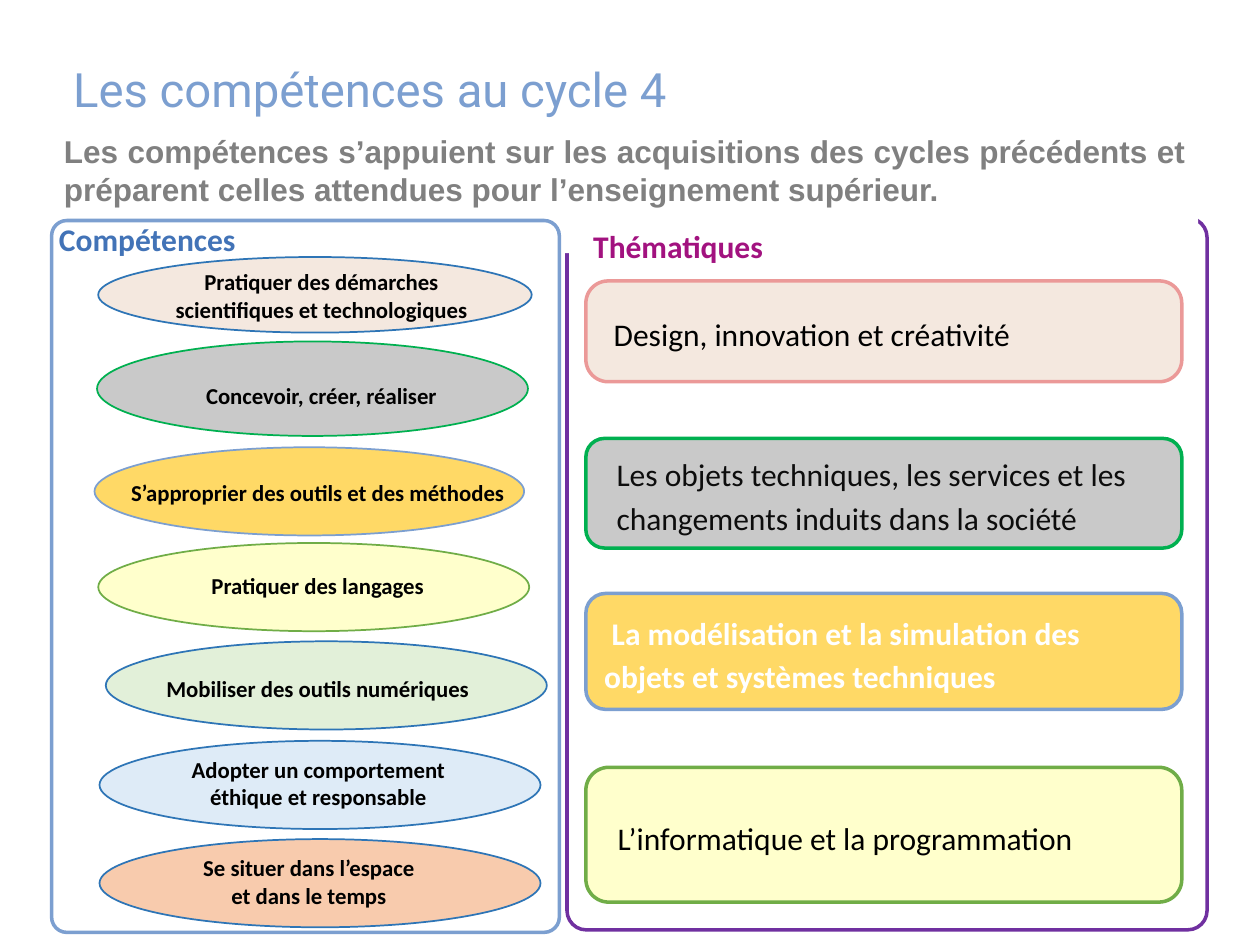
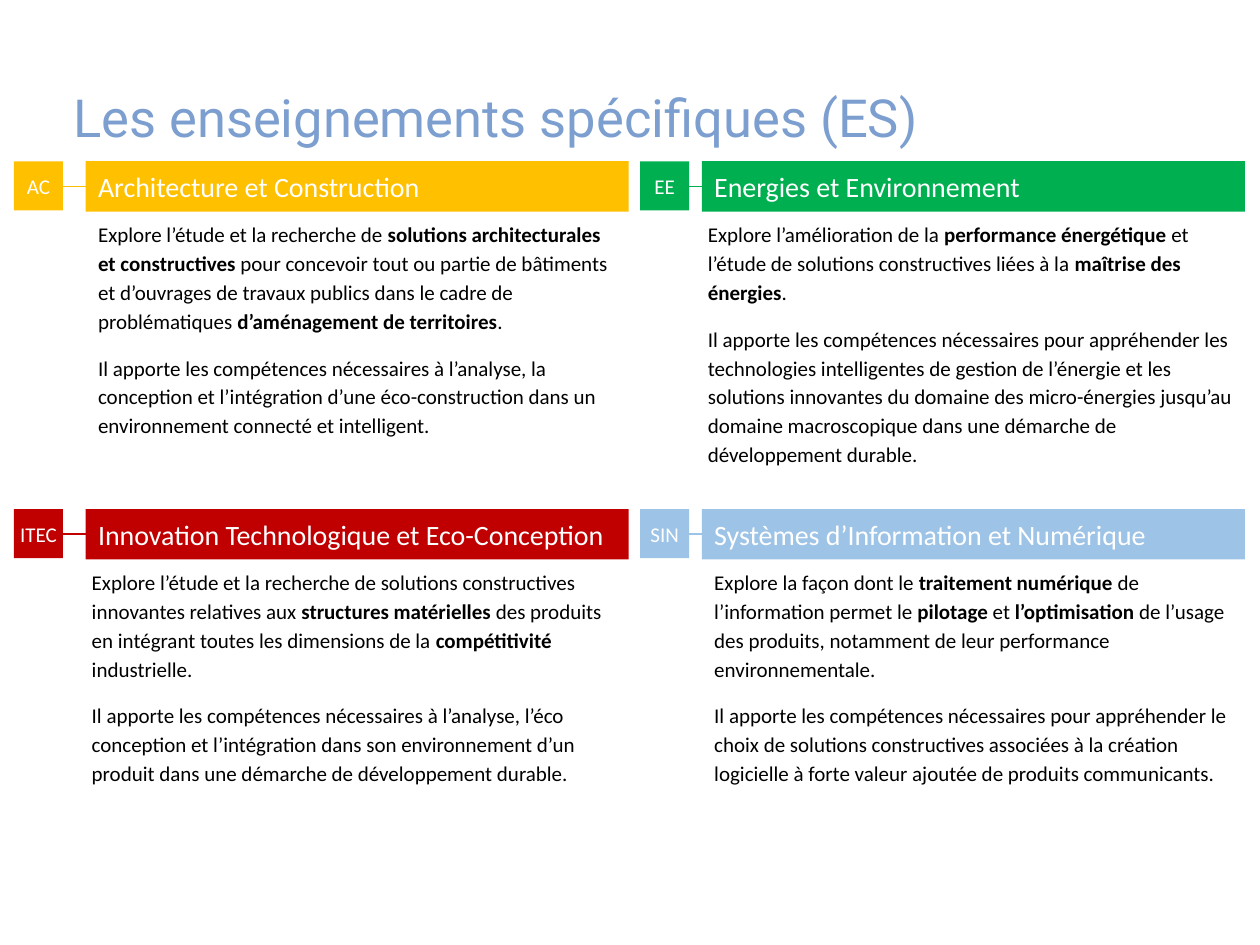
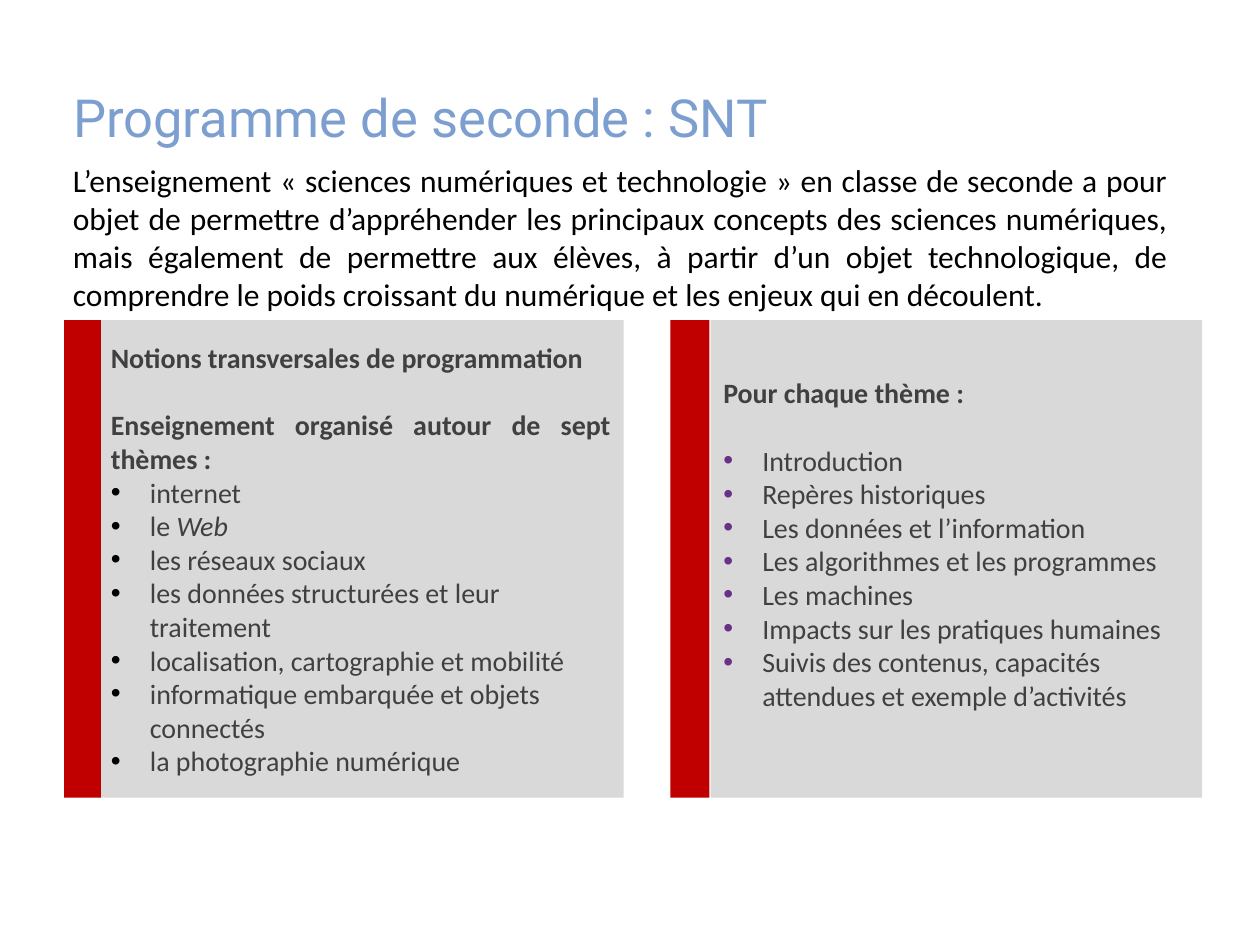
import pptx
import pptx.util
import pptx.dml.color
import pptx.enum.shapes
import pptx.enum.text
import pptx.oxml
import pptx.oxml.ns
import lxml.etree

Inches, Pt = pptx.util.Inches, pptx.util.Pt
RGB = pptx.dml.color.RGBColor
SHAPE = pptx.enum.shapes.MSO_SHAPE
ALIGN = pptx.enum.text.PP_ALIGN
ANCHOR = pptx.enum.text.MSO_ANCHOR
qn = pptx.oxml.ns.qn

# Colours
WHITE, BLACK = RGB(255, 255, 255), RGB(0, 0, 0)
INK, DARK = RGB(0x0D, 0x0D, 0x0D), RGB(0x40, 0x40, 0x40)
GREY, SILVER, PALE = RGB(0x80, 0x80, 0x80), RGB(0xC9, 0xC9, 0xC9), RGB(0xD9, 0xD9, 0xD9)
TITLE_BLUE, BLUE, HEAD_BLUE = RGB(0x7C, 0x9F, 0xD0), RGB(0x2E, 0x75, 0xB6), RGB(0x42, 0x73, 0xB7)
SKY, ICE = RGB(0x9D, 0xC3, 0xE6), RGB(0xDE, 0xEB, 0xF7)
GREEN, LEAF, MINT = RGB(0, 0xB0, 0x50), RGB(0x70, 0xAD, 0x47), RGB(0xE2, 0xF0, 0xD9)
SAND, PINK, PEACH = RGB(0xF4, 0xE8, 0xDF), RGB(0xEB, 0x99, 0x98), RGB(0xF8, 0xCB, 0xAD)
GOLD, AMBER, CREAM = RGB(0xFF, 0xD9, 0x66), RGB(0xFF, 0xC0, 0), RGB(0xFF, 0xFF, 0xCC)
RED, PURPLE = RGB(0xC0, 0, 0), RGB(0x70, 0x30, 0xA0)
MAGENTA, VIOLET = RGB(0xA2, 0x12, 0x7F), RGB(0x68, 0x30, 0x86)

# Slide 1: label, its (left, top, width), ellipse box, fill, line
COMPETENCES_LEAD = ("Les compétences s’appuient sur les acquisitions des cycles précédents "
                    "et préparent celles attendues pour l’enseignement supérieur.")
COMPETENCES = [
    (["Pratiquer des démarches", "scientifiques et technologiques"],
     (0.5, 2.08, 4.1), (0.78, 2.04, 3.44, 0.6), SAND, BLUE),
    (["Concevoir, créer, réaliser"],
     (0.5, 2.98, 4.1), (0.77, 2.71, 3.42, 0.75), SILVER, GREEN),
    (["S’approprier des outils et des méthodes"],
     (0.47, 3.75, 4.1), (0.75, 3.55, 3.41, 0.7), GOLD, TITLE_BLUE),
    (["Pratiquer des langages"],
     (0.47, 4.49, 4.1), (0.78, 4.31, 3.42, 0.7), CREAM, LEAF),
    (["Mobiliser des outils numériques"],
     (0.47, 5.31, 4.1), (0.84, 5.09, 3.5, 0.7), MINT, BLUE),
    (["Adopter un comportement éthique et responsable"],
     (1.22, 5.95, 2.61), (0.79, 5.88, 3.5, 0.7), ICE, BLUE),
    (["Se situer dans l’espace", "et dans le temps"],
     (0.4, 6.73, 4.1), (0.79, 6.66, 3.5, 0.7), PEACH, BLUE),
]
# text, top, height, corner, fill, line, text colour, bold, left margin, first line
THEMES = [
    ("Design, innovation et créativité",
     2.23, 0.8, 0.22, SAND, PINK, BLACK, False, 0.17, 0),
    ("Les objets techniques, les services et les changements induits dans la société",
     3.48, 0.87, 0.17, SILVER, GREEN, INK, False, 0.2, 0),
    ("La modélisation et la simulation des objets et systèmes techniques",
     4.71, 0.92, 0.17, GOLD, TITLE_BLUE, WHITE, True, 0.1, 0.06),
    ("L’informatique et la programmation",
     6.09, 1.07, 0.17, CREAM, LEAF, BLACK, False, 0.2, 0),
]

# Slide 2: row by row; tag, name, colour, shift of the text, paragraphs (** marks bold)
SPECIALITIES = [
    ("AC", "Architecture et Construction", AMBER, 0, [
        "Explore l’étude et la recherche de **solutions architecturales et constructives **"
        "pour concevoir tout ou partie de bâtiments et d’ouvrages de travaux publics dans le "
        "cadre de problématiques **d’aménagement de territoires**.",
        "Il apporte les compétences nécessaires à l’analyse, la conception et l’intégration "
        "d’une éco-construction dans un environnement connecté et intelligent."]),
    ("EE", "Energies et Environnement", GREEN, -0.05, [
        "Explore l’amélioration de la **performance énergétique **et l’étude de solutions "
        "constructives liées à la **maîtrise des énergies**.",
        "Il apporte les compétences nécessaires pour appréhender les technologies "
        "intelligentes de gestion de l’énergie et les solutions innovantes du domaine des "
        "micro-énergies jusqu’au domaine macroscopique dans une démarche de développement "
        "durable."]),
    ("ITEC", "Innovation Technologique et Eco-Conception", RED, -0.05, [
        "Explore l’étude et la recherche de solutions constructives innovantes relatives aux "
        "**structures matérielles **des produits en intégrant toutes les dimensions de la "
        "**compétitivité** industrielle.",
        "Il apporte les compétences nécessaires à l’analyse, l’éco conception et "
        "l’intégration dans son environnement d’un produit dans une démarche de "
        "développement durable."]),
    ("SIN", "Systèmes d’Information et Numérique", SKY, 0, [
        "Explore la façon dont le **traitement numérique **de l’information permet le "
        "**pilotage** et **l’optimisation** de l’usage des produits, notamment de leur "
        "performance environnementale.",
        "Il apporte les compétences nécessaires pour appréhender le choix de solutions "
        "constructives associées à la création logicielle à forte valeur ajoutée de produits "
        "communicants."]),
]
TAG_X, BAR_X, ROW_Y = (0.11, 5.08), (0.68, 5.57), (1.28, 4.04)
TAG_SIZE, BAR_W, BAR_H = 0.39, 4.31, 0.4

# Slide 3: panel and bar places, bottom inset, bullet colour, headings, items (** marks italic)
SNT_LEAD = ("L’enseignement « sciences numériques et technologie » en classe de seconde a pour "
            "objet de permettre d’appréhender les principaux concepts des sciences numériques, "
            "mais également de permettre aux élèves, à partir d’un objet technologique, de "
            "comprendre le poids croissant du numérique et les enjeux qui en découlent.")
PANELS = [
    ((0.78, 4.17), (0.51, 0.29), 0.05, BLACK,
     ["Notions transversales de programmation",
      "Enseignement organisé autour de sept thèmes :"],
     ["internet", "le **Web**", "les réseaux sociaux",
      "les données structurées et leur traitement",
      "localisation, cartographie et mobilité",
      "informatique embarquée et objets connectés", "la photographie numérique"]),
    ((5.64, 3.9), (5.32, 0.31), 0.29, VIOLET,
     ["Pour chaque thème :"],
     ["Introduction", "Repères historiques", "Les données et l’information",
      "Les algorithmes et les programmes", "Les machines",
      "Impacts sur les pratiques humaines",
      "Suivis des contenus, capacités attendues et exemple d’activités"]),
]
PANEL_Y, PANEL_H = 2.54, 3.79


def apply(obj, values):
    for name, value in values.items():
        setattr(obj, name, value)


def place(sp, box):
    apply(sp, dict(zip(("left", "top", "width", "height"), map(Inches, box))))


def add_runs(p, text, size, color, font="Calibri", bold=False, mark="bold"):
    """Fill a paragraph; stretches between ** get the marked attribute."""
    for i, part in enumerate(text.split("**")):
        if part:
            r = p.add_run()
            r.text = part
            apply(r.font, {"size": Pt(size), "name": font, "bold": bold})
            if i % 2:
                setattr(r.font, mark, True)
            r.font.color.rgb = color


def indent(p, margin, first=0, bullet=None):
    pPr = p._p.get_or_add_pPr()
    pPr.set("marL", str(Inches(margin)))
    pPr.set("indent", str(Inches(first)))
    if bullet is None:
        lxml.etree.SubElement(pPr, qn("a:buNone"))
        return
    clr = lxml.etree.SubElement(pPr, qn("a:buClr"))
    lxml.etree.SubElement(clr, qn("a:srgbClr")).set("val", str(bullet))
    lxml.etree.SubElement(pPr, qn("a:buFont")).set("typeface", "Arial")
    lxml.etree.SubElement(pPr, qn("a:buChar")).set("char", "•")


def write(sp, paras, size, color, para=None, anchor=ANCHOR.TOP, inset=(0.1, 0.05, 0.1, 0.05),
          **font):
    """Write paragraphs into a shape and return them."""
    tf = sp.text_frame
    apply(tf, {"word_wrap": True, "auto_size": pptx.enum.text.MSO_AUTO_SIZE.NONE,
               "vertical_anchor": anchor})
    sides = ("margin_left", "margin_top", "margin_right", "margin_bottom")
    apply(tf, dict(zip(sides, map(Inches, inset))))
    for i, text in enumerate(paras):
        p = tf.paragraphs[0] if i == 0 else tf.add_paragraph()
        apply(p, {"alignment": ALIGN.LEFT, **(para or {})})
        add_runs(p, text, size, color, **font)
    return tf.paragraphs


def add_box(s, kind, box, fill, line=None, width=1, corner=None):
    sp = s.shapes.add_shape(kind, *map(Inches, box))
    sp.shadow.inherit = False
    sp.fill.solid()
    sp.fill.fore_color.rgb = fill
    if line is None:
        sp.line.fill.background()
    else:
        sp.line.color.rgb = line
        sp.line.width = Pt(width)
    if corner is not None:
        sp.adjustments[0] = corner
    return sp


def add_label(s, box, paras, size, color, **fmt):
    sp = s.shapes.add_textbox(*map(Inches, box))
    write(sp, paras, size, color, **fmt)


def add_link(s, x1, x2, y, color):
    c = s.shapes.add_connector(pptx.enum.shapes.MSO_CONNECTOR.STRAIGHT,
                               Inches(x1), Inches(y), Inches(x2), Inches(y))
    c.line.color.rgb = color
    c.line.width = Pt(1)
    lxml.etree.SubElement(c._element.spPr, qn("a:effectLst"))


def new_slide(prs, layout, title, size=30, anchor=ANCHOR.MIDDLE):
    s = prs.slides.add_slide(prs.slide_layouts.get_by_name(layout))
    place(s.shapes.title, (0.48, 0.48, 9.03, 0.96))
    write(s.shapes.title, [title], size, TITLE_BLUE, {"line_spacing": 0.9},
          anchor, font="Roboto")
    return s


def competences_slide(prs):
    s = new_slide(prs, "Title Only", "Les compétences au cycle 4", 27, ANCHOR.TOP)
    # Panels; the lead text covers the top edge of the right one
    add_box(s, SHAPE.ROUNDED_RECTANGLE, (4.5, 1.73, 5.08, 5.65), WHITE, PURPLE, 2, 0.03)
    lead = add_box(s, SHAPE.RECTANGLE, (0.41, 1, 9.1, 1.01), WHITE)
    write(lead, [COMPETENCES_LEAD], 18, GREY, {"alignment": ALIGN.JUSTIFY},
          font="Arial", bold=True)
    add_box(s, SHAPE.ROUNDED_RECTANGLE, (0.41, 1.75, 4.03, 5.65), WHITE, TITLE_BLUE, 2, 0.03)
    # The title stays above the lead's white ground
    s.shapes._spTree.append(s.shapes.title._element)
    # Competences
    for paras, (x, y, w), oval, fill, line in COMPETENCES:
        add_box(s, SHAPE.OVAL, oval, fill, line)
        add_label(s, (x, y, w, 0.54), paras, 13, BLACK,
                  para={"alignment": ALIGN.CENTER}, bold=True)
    # Themes
    for text, y, h, corner, fill, line, color, bold, margin, first in THEMES:
        sp = add_box(s, SHAPE.ROUNDED_RECTANGLE, (4.65, y, 4.73, h), fill, line, 2, corner)
        p, = write(sp, [text], 18, color, {"line_spacing": 1.15}, ANCHOR.MIDDLE,
                   (0, 0, 0.1, 0), bold=bold)
        indent(p, margin, first)
    # Panel headings
    add_label(s, (0.37, 1.7, 1.73, 0.4), ["Compétences"], 18, HEAD_BLUE, bold=True)
    add_label(s, (4.61, 1.75, 4.7, 0.4), ["Thématiques"], 18, MAGENTA, bold=True)


def specialities_slide(prs):
    s = new_slide(prs, "Title Only", "Les enseignements spécifiques (ES)")
    for i, (tag, name, color, shift, paras) in enumerate(SPECIALITIES):
        row, col = divmod(i, 2)
        x, bar_x, y = TAG_X[col], BAR_X[col], ROW_Y[row]
        # Tag, link and name bar
        add_link(s, x + TAG_SIZE, bar_x, y + BAR_H / 2, color)
        sp = add_box(s, SHAPE.RECTANGLE, (x, y, TAG_SIZE, TAG_SIZE), color)
        write(sp, [tag], 12, WHITE, {"alignment": ALIGN.CENTER}, ANCHOR.MIDDLE, (0, 0, 0, 0))
        sp = add_box(s, SHAPE.RECTANGLE, (bar_x, y, BAR_W, BAR_H), color)
        write(sp, [name], 16, WHITE, anchor=ANCHOR.MIDDLE)
        # Description
        add_label(s, (bar_x + shift, y + BAR_H, BAR_W - shift, 2.09 if shift and col else 1.85),
                  paras, 12, BLACK, para={"line_spacing": 1.15, "space_after": Pt(10)})


def snt_slide(prs):
    s = new_slide(prs, "Two Content", "Programme de seconde : SNT")
    add_label(s, (0.48, 1.23, 8.89, 1.31), [SNT_LEAD], 18, BLACK,
              para={"alignment": ALIGN.JUSTIFY})
    for n, ((x, w), (bar_x, bar_w), bottom, bullet, heads, items) in enumerate(PANELS, 1):
        sp = s.placeholders[n]
        place(sp, (x, PANEL_Y, w, PANEL_H))
        sp.fill.solid()
        sp.fill.fore_color.rgb = PALE
        paras = write(sp, heads + items, 16, DARK, {"space_before": Pt(0)}, ANCHOR.MIDDLE,
                      (0.1, 0.05, 0.1, bottom), mark="italic")
        for p in paras[:len(heads)]:
            indent(p, 0)
            apply(p, {"alignment": ALIGN.JUSTIFY})
            for r in p.runs:
                r.font.bold = True
        for p in paras[len(heads):]:
            indent(p, 0.31, -0.31, bullet)
        paras[0].space_after = Pt(19.5)
        add_box(s, SHAPE.RECTANGLE, (bar_x, PANEL_Y, bar_w, PANEL_H), RED)


def main():
    prs = pptx.Presentation()
    prs.slide_width, prs.slide_height = Inches(10), Inches(7.5)
    competences_slide(prs)
    specialities_slide(prs)
    snt_slide(prs)
    prs.save("out.pptx")


if __name__ == "__main__":
    main()
